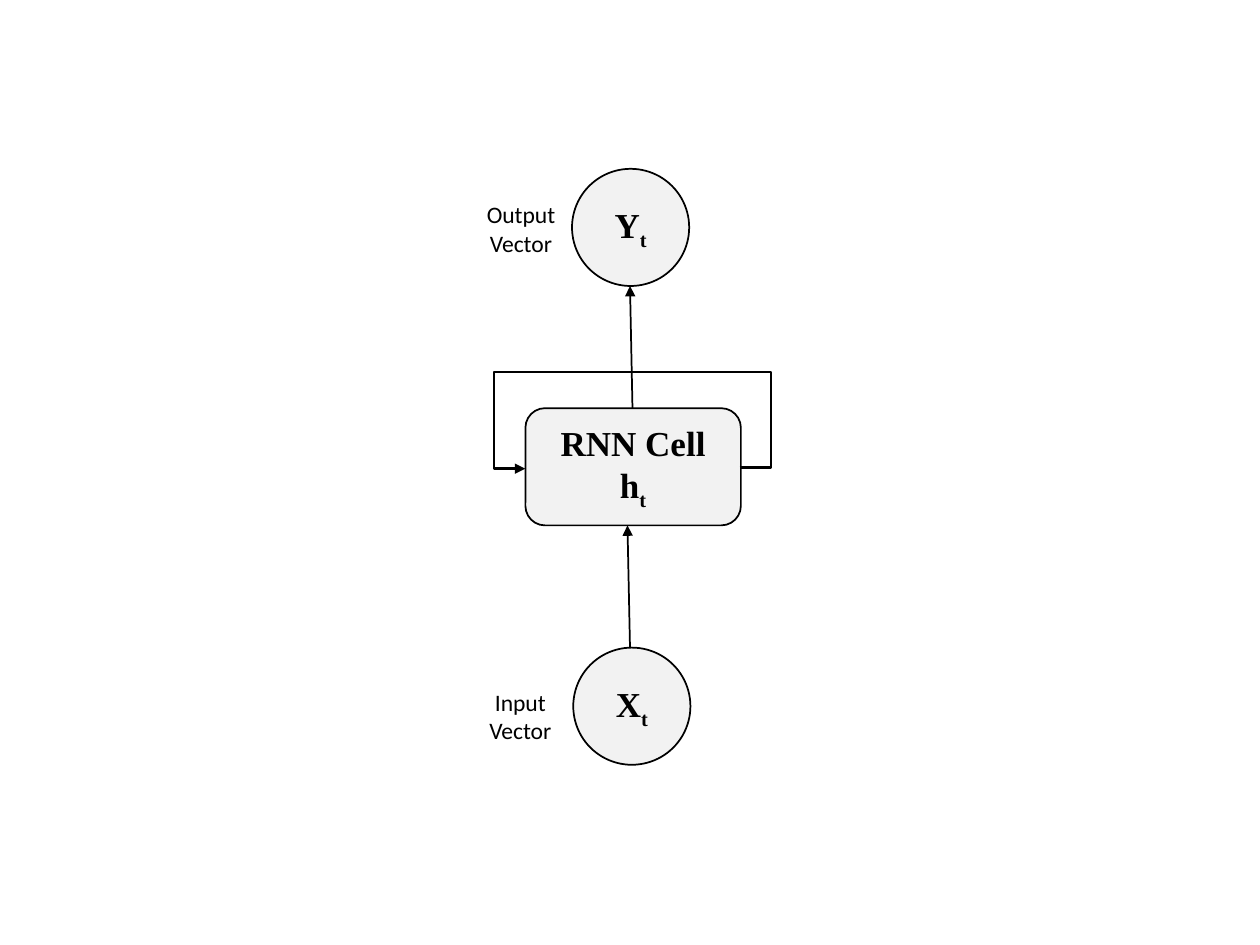
from lxml.etree import SubElement
from pptx import Presentation
from pptx.dml.color import RGBColor
from pptx.enum.shapes import MSO_CONNECTOR, MSO_SHAPE
from pptx.enum.text import MSO_ANCHOR, MSO_AUTO_SIZE, PP_ALIGN
from pptx.oxml.ns import qn
from pptx.util import Inches, Pt

BLACK = RGBColor(0x00, 0x00, 0x00)
LIGHT_GRAY = RGBColor(0xF2, 0xF2, 0xF2)
COLUMNS, ROWS = 100, 75
SLIDE_WIDTH, SLIDE_HEIGHT = Inches(10), Inches(7.5)
NODE_SIZE = 9.3


def across(columns):
    return round(SLIDE_WIDTH * columns / COLUMNS)


def down(rows):
    return round(SLIDE_HEIGHT * rows / ROWS)


def box(left, top, width, height):
    return across(left), down(top), across(width), down(height)


def add_run(paragraph, text, font_name, size, bold=False, subscript=False):
    run = paragraph.add_run()
    run.text = text
    run.font.name = font_name
    run.font.size = Pt(size)
    run.font.bold = bold
    run.font.color.rgb = BLACK
    if subscript:
        run.font._element.set("baseline", "-25000")


def add_lines(text_frame, lines, font_name, size, bold=False):
    for index, (text, subscript) in enumerate(lines):
        paragraph = text_frame.paragraphs[0] if index == 0 else text_frame.add_paragraph()
        paragraph.alignment = PP_ALIGN.CENTER
        add_run(paragraph, text, font_name, size, bold)
        if subscript:
            add_run(paragraph, subscript, font_name, size, bold, True)


def add_node(slide, kind, left, top, width, lines):
    shape = slide.shapes.add_shape(kind, *box(left, top, width, NODE_SIZE))
    shape.shadow.inherit = False
    shape.fill.solid()
    shape.fill.fore_color.rgb = LIGHT_GRAY
    shape.line.color.rgb = BLACK
    shape.line.width = Pt(1)
    text_frame = shape.text_frame
    text_frame.vertical_anchor = MSO_ANCHOR.MIDDLE
    text_frame.margin_left = text_frame.margin_right = Inches(0.07)
    text_frame.margin_top = text_frame.margin_bottom = Inches(0.04)
    add_lines(text_frame, lines, "Times New Roman", 20, True)


def add_label(slide, left, top, width, words):
    text_frame = slide.shapes.add_textbox(*box(left, top, width, 5.6)).text_frame
    text_frame.word_wrap = False
    text_frame.auto_size = MSO_AUTO_SIZE.SHAPE_TO_FIT_TEXT
    add_lines(text_frame, [(word, "") for word in words], "Calibri", 13.5)


def add_arrow(slide, start, end, kind=MSO_CONNECTOR.STRAIGHT, width=1):
    connector = slide.shapes.add_connector(
        kind, across(start[0]), down(start[1]), across(end[0]), down(end[1]))
    connector.line.color.rgb = BLACK
    connector.line.width = Pt(width)
    properties = connector._element.spPr
    SubElement(properties.find(qn("a:ln")), qn("a:tailEnd"), type="triangle")
    SubElement(properties, qn("a:effectLst"))
    return connector


def add_loop(slide, start, end, right, top, left):
    connector = add_arrow(slide, start, end, MSO_CONNECTOR.ELBOW, 1.5)
    geometry = connector._element.spPr.find(qn("a:prstGeom"))
    geometry.set("prst", "bentConnector5")
    guides = geometry.find(qn("a:avLst"))
    run_width, run_height = end[0] - start[0], end[1] - start[1]
    shares = [(right - start[0]) / run_width,
              (top - start[1]) / run_height,
              (left - start[0]) / run_width]
    for number, share in enumerate(shares, 1):
        SubElement(guides, qn("a:gd"), name=f"adj{number}",
                   fmla=f"val {round(share * 100000)}")


def main():
    presentation = Presentation()
    presentation.slide_width, presentation.slide_height = SLIDE_WIDTH, SLIDE_HEIGHT
    slide = presentation.slides.add_slide(presentation.slide_layouts[6])

    output_top, cell_top, input_top = (13.4 + 19 * step for step in range(3))
    add_node(slide, MSO_SHAPE.OVAL, 45.4, output_top, NODE_SIZE, [("Y", "t")])
    add_node(slide, MSO_SHAPE.ROUNDED_RECTANGLE, 41.7, cell_top, 17.1,
             [("RNN Cell", ""), ("h", "t")])
    add_node(slide, MSO_SHAPE.OVAL, 45.5, input_top, NODE_SIZE, [("X", "t")])

    add_label(slide, 37.8, 54.1, 7, ["Input", "Vector"])
    add_arrow(slide, (50.2, cell_top), (50, output_top + NODE_SIZE))
    add_arrow(slide, (50, input_top), (49.8, cell_top + NODE_SIZE))
    add_loop(slide, (58.7, 37.1), (41.7, 37.2), right=61.2, top=29.4, left=39.2)
    add_label(slide, 37.6, 15.4, 7.5, ["Output", "Vector"])

    presentation.save("out.pptx")


main()
